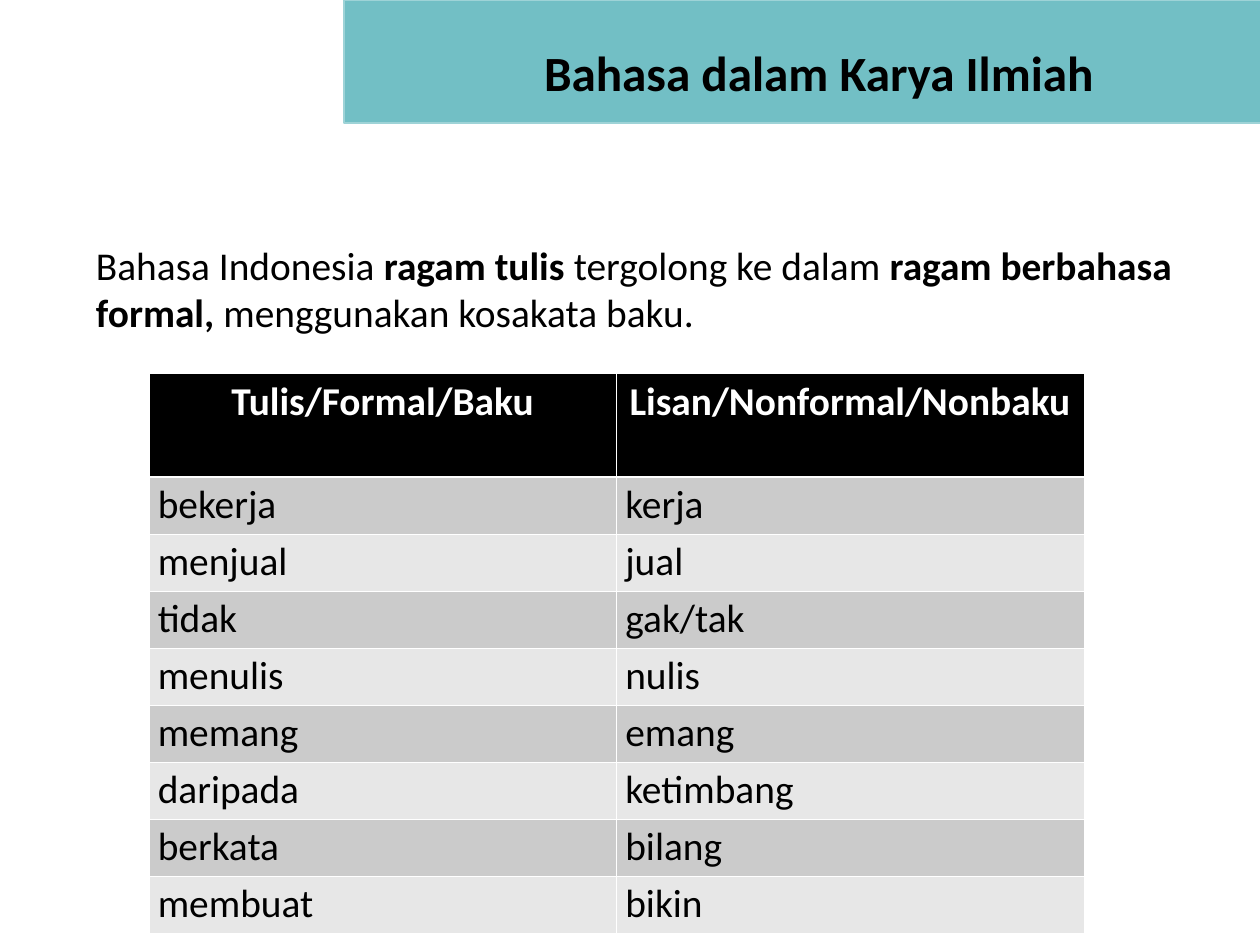
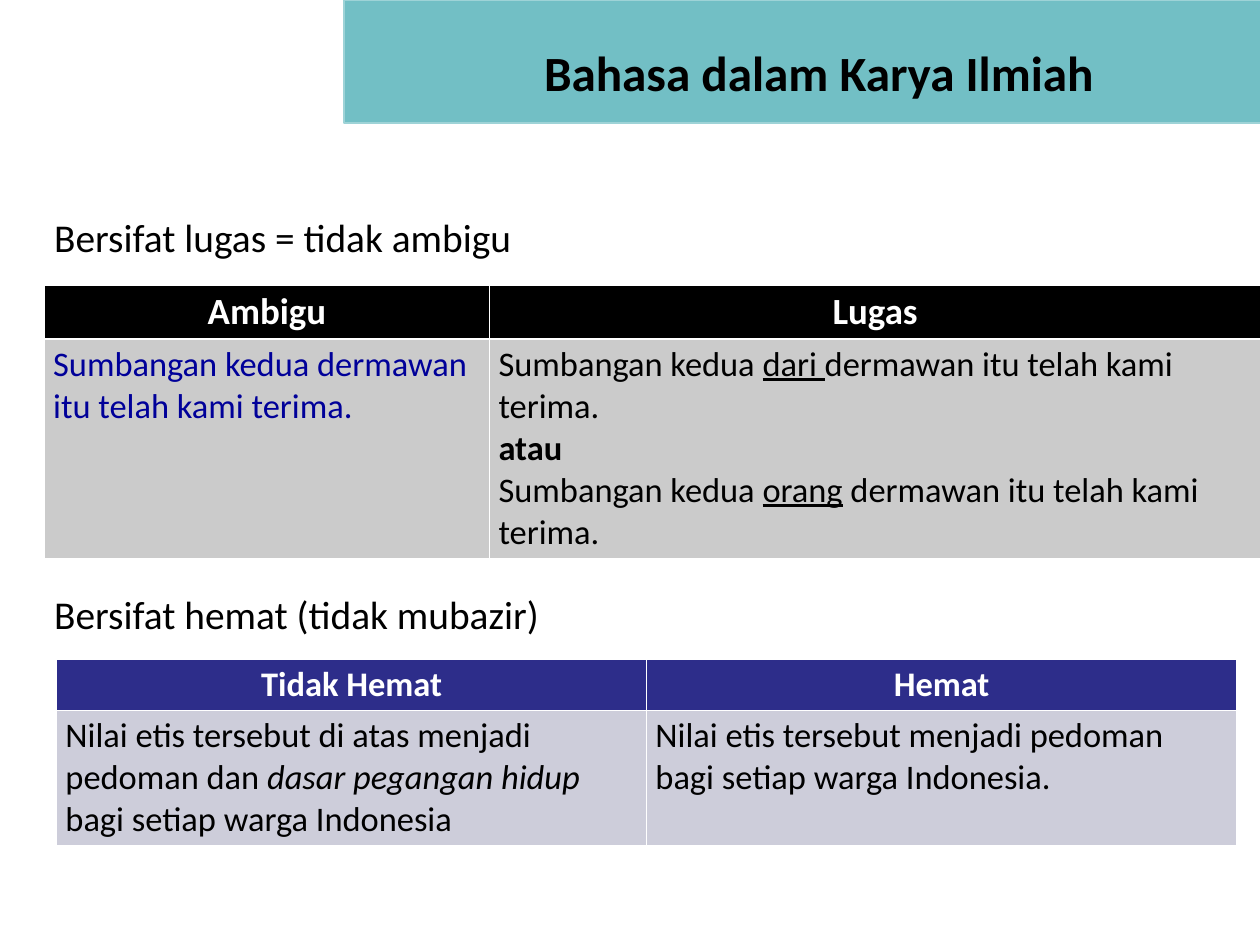
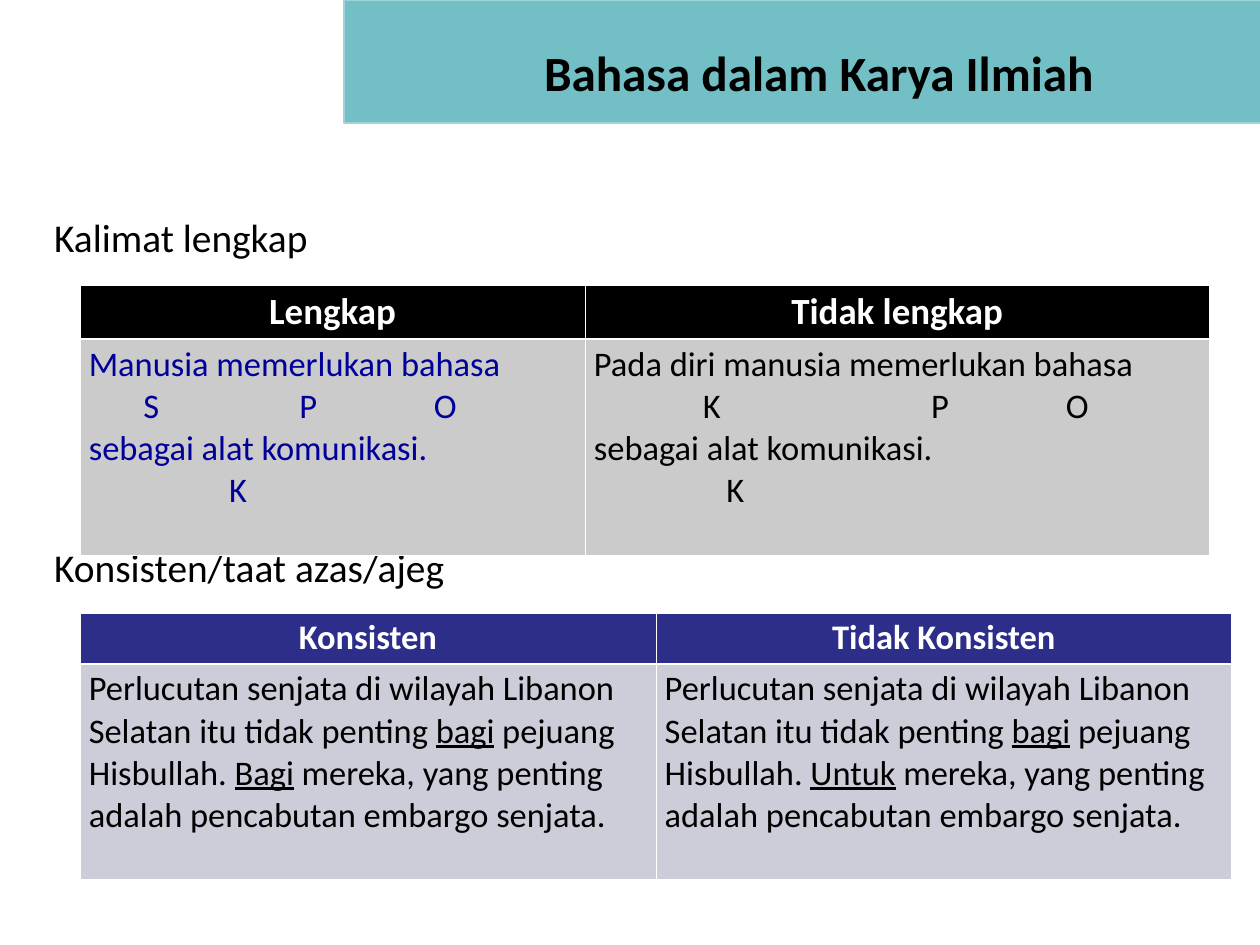
"""Build three slides on the language of scientific writing."""
import dataclasses

import lxml.etree
import pptx
import pptx.dml.color
import pptx.enum.shapes
import pptx.enum.text
import pptx.oxml.ns
import pptx.util

Pt = pptx.util.Pt
Anchor = pptx.enum.text.MSO_ANCHOR
Align = pptx.enum.text.PP_ALIGN
qn = pptx.oxml.ns.qn


@dataclasses.dataclass(frozen=True)
class Theme:
    font: str = "Calibri"
    ink: str = "000000"
    paper: str = "FFFFFF"
    accent: str = "000099"
    band: str = "72BFC5"
    band_line: str = "9ED3D7"
    gray: tuple = ("000000", "CBCBCB", "E7E7E7")
    violet: tuple = ("2D2D8A", "CDCDDA", "CDCDDA")
    title: float = 40
    body: float = 32
    heading: float = 30
    cell: float = 28
    thin: float = 0.45
    thick: float = 1.47
    inset: float = 4.5


@dataclasses.dataclass
class Para:
    spans: list
    layout: dict = dataclasses.field(default_factory=dict)
    tabs: tuple = ()


def rgb(value):
    return pptx.dml.color.RGBColor.from_string(value)


def assign(target, values):
    for name, value in values.items():
        setattr(target, name, value)


class Deck:
    def __init__(self, theme):
        self.theme = theme
        self.deck = pptx.Presentation()
        assign(self.deck, {"slide_width": Pt(1024), "slide_height": Pt(768)})
        self.layout = self.deck.slide_layouts[1]
        self.page = None

    def add_page(self, title):
        self.page = self.deck.slides.add_slide(self.layout)
        if len(self.deck.slides) == 1:
            self.add_band()
        heading = Para([title], {"alignment": Align.CENTER})
        self.fill_placeholder(0, (387.5, 18, 556, 80), [heading], Anchor.MIDDLE,
                              self.look(self.theme.title, bold=True))

    def add_band(self):
        band = self.page.shapes.add_shape(
            pptx.enum.shapes.MSO_SHAPE.RECTANGLE, Pt(279.5), Pt(0), Pt(775.5), Pt(100))
        band.shadow.inherit = False
        band.fill.solid()
        band.fill.fore_color.rgb = rgb(self.theme.band)
        band.line.color.rgb = rgb(self.theme.band_line)
        band.line.width = Pt(2)
        self.layout.shapes.element.insert(2, band.element)

    def add_body(self, place, paragraphs):
        self.fill_placeholder(1, place, paragraphs, Anchor.TOP, self.look(self.theme.body))
        for para in self.page.placeholders[1].text_frame.paragraphs:
            properties = para._p.get_or_add_pPr()
            assign(para, {"space_before": para.space_before or Pt(0)})
            properties.set("marL", str(Pt(21)))
            properties.set("indent", "0")
            lxml.etree.SubElement(properties, qn("a:buNone"))

    def fill_placeholder(self, index, place, paragraphs, anchor, look):
        box = self.page.placeholders[index]
        assign(box, dict(zip(("left", "top", "width", "height"), map(Pt, place))))
        frame = box.text_frame
        sides = ("margin_left", "margin_top", "margin_right", "margin_bottom")
        assign(frame, dict.fromkeys(sides, Pt(self.theme.inset)))
        assign(frame, {"word_wrap": True, "vertical_anchor": anchor,
                       "auto_size": pptx.enum.text.MSO_AUTO_SIZE.NONE})
        self.add_text(frame, paragraphs, look)

    def look(self, size, color=None, **extra):
        return {"name": self.theme.font, "size": Pt(size),
                "color": color or self.theme.ink, **extra}

    def add_text(self, frame, paragraphs, look):
        for index, source in enumerate(paragraphs):
            para = frame.paragraphs[0] if index == 0 else frame.add_paragraph()
            assign(para, source.layout)
            if source.tabs:
                stops = lxml.etree.SubElement(para._p.get_or_add_pPr(), qn("a:tabLst"))
                for stop in source.tabs:
                    lxml.etree.SubElement(stops, qn("a:tab"), pos=str(Pt(stop)), algn="l")
            for span in source.spans:
                text, extra = (span, {}) if isinstance(span, str) else span
                values = {**look, **extra}
                run = para.add_run()
                run.text = text
                run.font.color.rgb = rgb(values.pop("color"))
                assign(run.font, values)

    def add_table(self, corner, widths, heights, rows, fills, sizes, first_color=None):
        left, top = corner
        table = self.page.shapes.add_table(
            len(rows), len(widths), Pt(left), Pt(top),
            Pt(sum(widths)), Pt(sum(heights))).table
        table.horz_banding = False
        for column, width in zip(table.columns, widths):
            column.width = Pt(width)
        for row, height in zip(table.rows, heights):
            row.height = Pt(height)
        for r, texts in enumerate(rows):
            for c, content in enumerate(texts):
                paragraphs = [Para([content])] if isinstance(content, str) else content
                if r == 0:
                    look = self.look(sizes[0], self.theme.paper, bold=True)
                    paragraphs[0].layout["alignment"] = Align.CENTER
                else:
                    look = self.look(sizes[1], first_color if c == 0 else None, bold=False)
                cell = table.cell(r, c)
                self.add_text(cell.text_frame, paragraphs, look)
                self.add_borders(cell, r)
                cell.fill.solid()
                cell.fill.fore_color.rgb = rgb(fills[0 if r == 0 else 2 - r % 2])

    def add_borders(self, cell, row):
        thick_side = {0: "lnB", 1: "lnT"}.get(row)
        properties = cell._tc.get_or_add_tcPr()
        for side in ("lnL", "lnR", "lnT", "lnB"):
            width = self.theme.thick if side == thick_side else self.theme.thin
            line = lxml.etree.SubElement(properties, qn("a:" + side), w=str(Pt(width)))
            fill = lxml.etree.SubElement(line, qn("a:solidFill"))
            lxml.etree.SubElement(fill, qn("a:srgbClr"), val=self.theme.paper)


def consistency(word):
    return [Para([
        "Perlucutan senjata di wilayah Libanon Selatan itu tidak penting ",
        ("bagi", UNDERLINE), " pejuang Hisbullah. ", (word, UNDERLINE),
        " mereka, yang penting adalah pencabutan embargo senjata."])]


def parsed_sentence(opening, first_label, first_tabs, second_tab):
    return [Para([opening]), Para([f"\t{first_label}\tP\tO"], tabs=first_tabs),
            Para(["sebagai alat komunikasi."]), Para(["\tK"], tabs=(second_tab,))]


BOLD = {"bold": True}
UNDERLINE = {"underline": True}
TITLE = "Bahasa dalam Karya Ilmiah"
CAPTIONS = (18.5, 168.5, 1005, 502.5)
WORDS = [
    ("Tulis/Formal/Baku", "Lisan/Nonformal/Nonbaku"),
    ("bekerja", "kerja"), ("menjual", "jual"), ("tidak", "gak/tak"),
    ("menulis", "nulis"), ("memang", "emang"), ("daripada", "ketimbang"),
    ("berkata", "bilang"), ("membuat", "bikin"),
]


def main():
    theme = Theme()
    deck = Deck(theme)
    gray_sizes = (theme.heading, theme.cell)
    violet_sizes = (theme.cell, theme.cell)

    deck.add_page(TITLE)
    deck.add_body((52.5, 191.5, 941, 484), [Para([
        "Bahasa Indonesia ", ("ragam tulis ", BOLD), "tergolong ke dalam ",
        ("ragam berbahasa formal, ", BOLD), "menggunakan kosakata baku."])])
    deck.add_table((121, 303.5), (380, 380), [84] + [46.3] * 8, WORDS,
                   theme.gray, (theme.body, theme.body))

    deck.add_page(TITLE)
    deck.add_body(CAPTIONS, [
        Para(["Bersifat lugas = tidak ambigu"]),
        Para(["Bersifat hemat (tidak mubazir)"], {"space_before": Pt(268)})])
    clear = [
        Para(["Sumbangan kedua ", ("dari ", UNDERLINE), "dermawan itu telah kami terima."]),
        Para([("atau", BOLD)]),
        Para(["Sumbangan kedua ", ("orang", UNDERLINE), " dermawan itu telah kami terima."])]
    deck.add_table((36, 231.5), (362, 626.5), (43, 175.5), [
        ("Ambigu", "Lugas"),
        ("Sumbangan kedua dermawan itu telah kami terima.", clear),
    ], theme.gray, gray_sizes, theme.accent)
    wordy = [Para(["Nilai etis tersebut di atas menjadi pedoman dan ",
                   ("dasar pegangan hidup ", {"italic": True}),
                   "bagi setiap warga Indonesia"])]
    deck.add_table((46, 536), (479.5, 479.5), (41, 108), [
        ("Tidak Hemat", "Hemat"),
        (wordy, "Nilai etis tersebut menjadi pedoman bagi setiap warga Indonesia."),
    ], theme.violet, violet_sizes)

    deck.add_page(TITLE)
    deck.add_body(CAPTIONS, [
        Para(["Kalimat lengkap"]),
        Para(["Konsisten/taat azas/ajeg"], {"space_before": Pt(230)})])
    deck.add_table((65, 231.5), (410.5, 507.5), (43, 175.5), [
        ("Lengkap", "Tidak lengkap"),
        (parsed_sentence("Manusia memerlukan bahasa", "S", (44.3, 171, 280.5), 114),
         parsed_sentence("Pada diri manusia memerlukan bahasa", "K",
                         (88.6, 274, 383.5), 107.6)),
    ], theme.gray, gray_sizes, theme.accent)
    deck.add_table((65, 498), (468, 468), (41, 175.5), [
        ("Konsisten", "Tidak Konsisten"),
        (consistency("Bagi"), consistency("Untuk")),
    ], theme.violet, violet_sizes)

    deck.deck.save("out.pptx")


if __name__ == "__main__":
    main()
